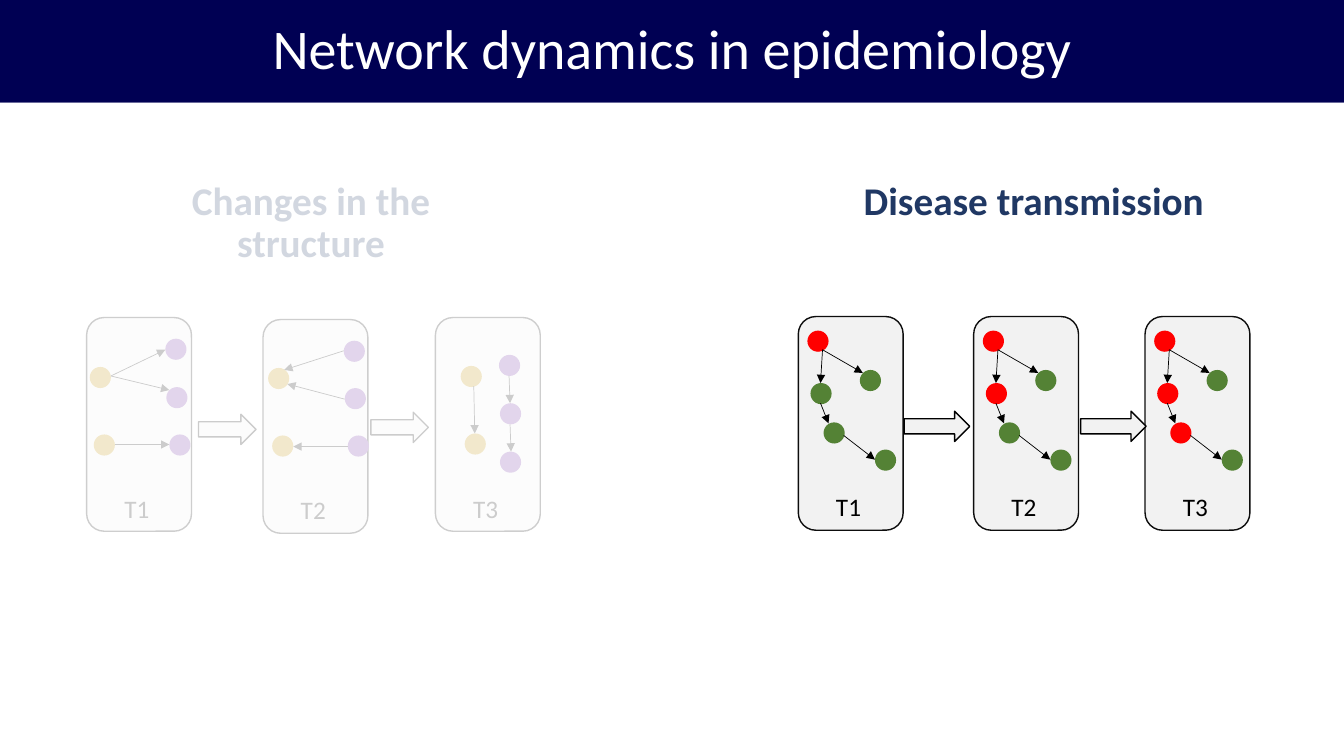
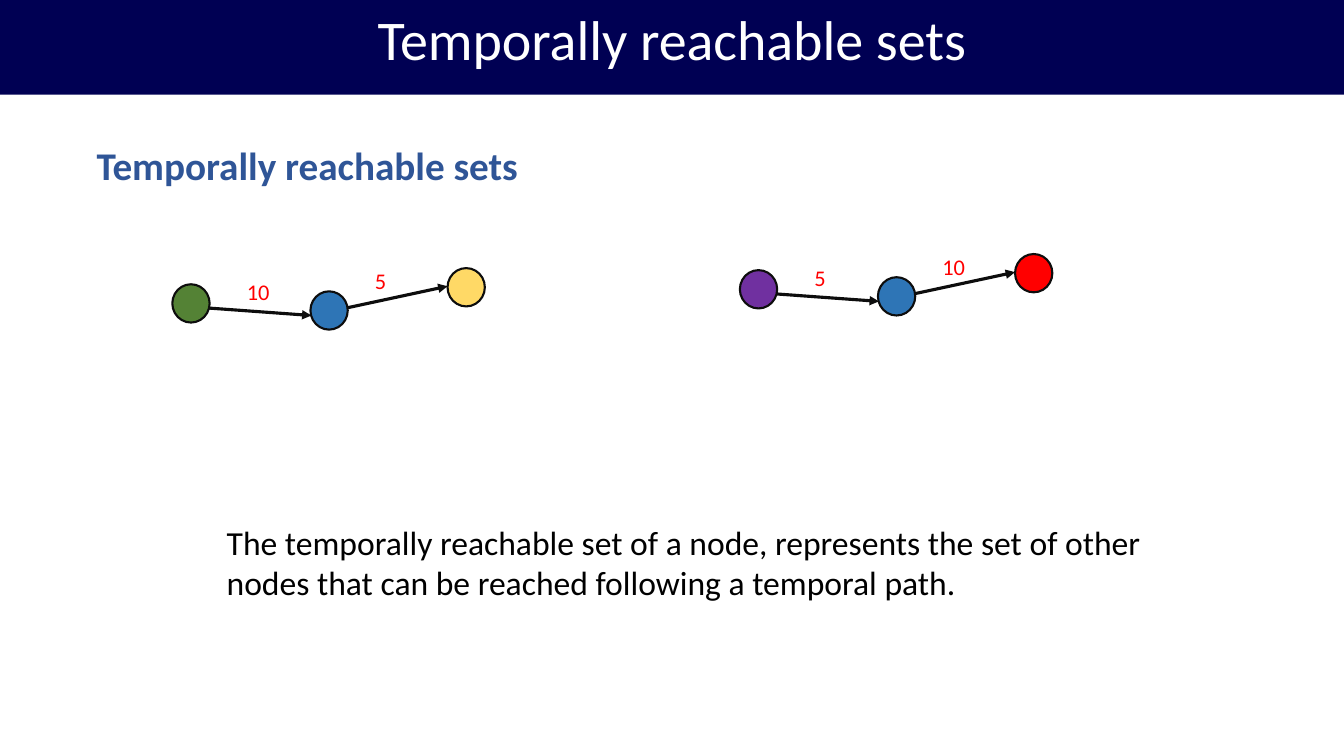
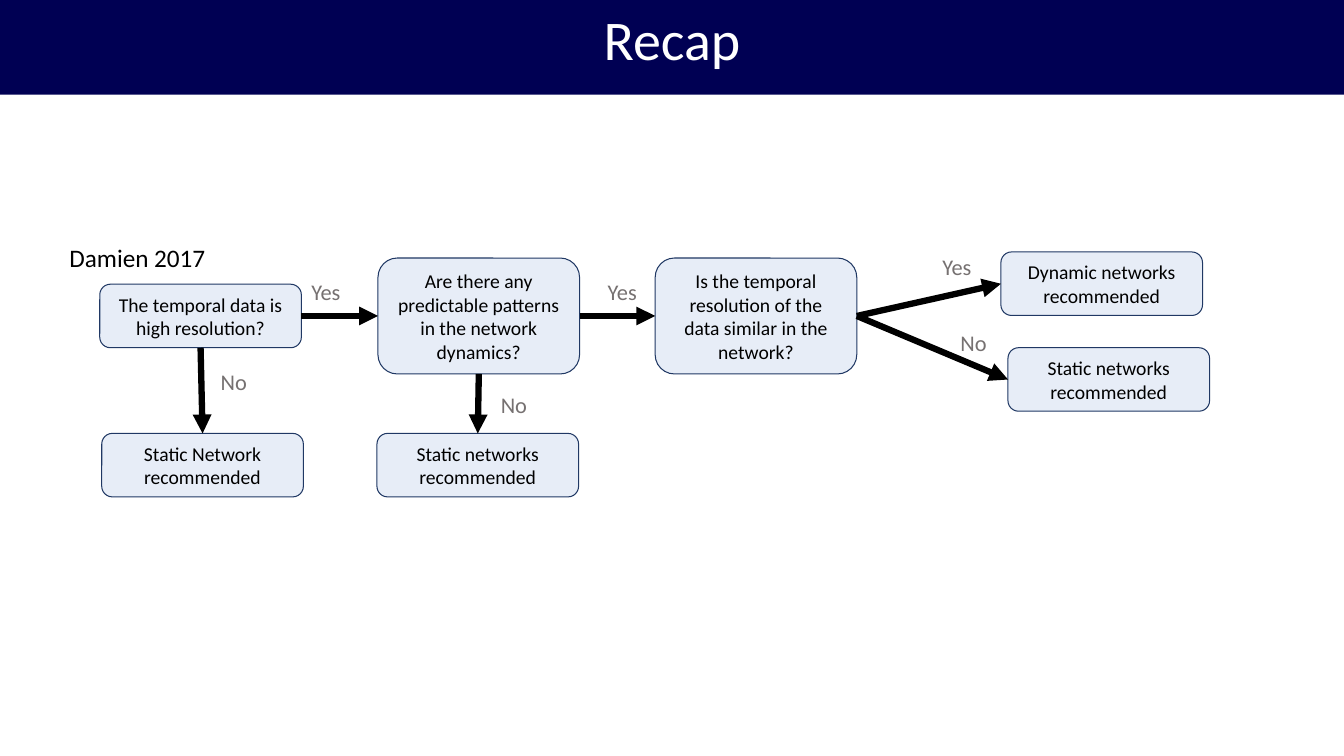
import pptx
import pptx.dml.color
import pptx.enum.shapes
import pptx.enum.text
import pptx.oxml
import pptx.oxml.ns
import pptx.util
from lxml import etree

RGB = pptx.dml.color.RGBColor
SHAPE = pptx.enum.shapes.MSO_SHAPE
ALIGN = pptx.enum.text.PP_ALIGN
ANCHOR = pptx.enum.text.MSO_ANCHOR

# Grid: square cells, ten to the inch
CELL = pptx.util.Inches(0.1)
COLUMNS, ROWS = 133.33, 75
FONT = "Calibri"

# Palette
NAVY = RGB(0x00, 0x00, 0x53)
DARK_BLUE = RGB(0x20, 0x38, 0x64)
HEADING_BLUE = RGB(0x2F, 0x55, 0x97)
MID_BLUE = RGB(0x2E, 0x75, 0xB6)
PALE_BLUE = RGB(0x8F, 0xAA, 0xDC)
WHITE = RGB(0xFF, 0xFF, 0xFF)
BLACK = RGB(0x00, 0x00, 0x00)
INK = RGB(0x0D, 0x0D, 0x0D)
LIGHT_GREY = RGB(0xF2, 0xF2, 0xF2)
GREY = RGB(0x76, 0x71, 0x71)
GOLD = RGB(0xBF, 0x90, 0x00)
YELLOW = RGB(0xFF, 0xD9, 0x66)
PURPLE = RGB(0x70, 0x30, 0xA0)
GREEN = RGB(0x54, 0x82, 0x35)
RED = RGB(0xFF, 0x00, 0x00)

# Connection sites of a rounded rectangle
TOP, LEFT, BOTTOM, RIGHT = range(4)


def cells(*numbers):
    return [round(number * CELL) for number in numbers]


class Deck:
    """Holds the shared style and the slide being drawn."""

    def __init__(self):
        self.deck = pptx.Presentation()
        self.deck.slide_width, self.deck.slide_height = cells(COLUMNS, ROWS)
        self.page = None

    def new_page(self, title, band_top=-0.9):
        self.page = self.deck.slides.add_slide(self.deck.slide_layouts[6])
        band = self.shape(SHAPE.RECTANGLE, (0, band_top, COLUMNS, 10.3), NAVY)
        self.set_words(band, title, 40, WHITE, align=ALIGN.CENTER, spacing=0.9)

    def set_words(self, shape, words, size, color, bold=False, align=ALIGN.LEFT, spacing=None):
        shape.text_frame.text = words
        para = shape.text_frame.paragraphs[0]
        para.alignment = align
        para.line_spacing = spacing
        for span in para.runs:
            span.font.name = FONT
            span.font.size = pptx.util.Pt(size)
            span.font.bold = bold
            span.font.color.rgb = color

    def text(self, area, words, size, color, wrap=True, **style):
        box = self.page.shapes.add_textbox(*cells(*area))
        box.text_frame.word_wrap = wrap
        self.set_words(box, words, size, color, **style)

    def paint(self, shape, fill, line=None, weight=1, opacity=None):
        shape.shadow.inherit = False
        shape.fill.solid()
        shape.fill.fore_color.rgb = fill
        if opacity:
            tint = shape.element.spPr.find(".//" + pptx.oxml.ns.qn("a:srgbClr"))
            alpha = etree.SubElement(tint, pptx.oxml.ns.qn("a:alpha"))
            alpha.set("val", str(opacity * 1000))
        if line is None:
            shape.line.fill.background()
        else:
            shape.line.color.rgb = line
            shape.line.width = pptx.util.Pt(weight)

    def shape(self, kind, area, fill, line=None, weight=1, opacity=None):
        shape = self.page.shapes.add_shape(kind, *cells(*area))
        shape.text_frame.vertical_anchor = ANCHOR.MIDDLE
        self.paint(shape, fill, line, weight, opacity)
        return shape

    def arrow(self, start, end, color, weight):
        arrow = self.page.shapes.add_connector(
            pptx.enum.shapes.MSO_CONNECTOR.STRAIGHT, *cells(*start, *end))
        arrow.line.color.rgb = color
        arrow.line.width = pptx.util.Pt(weight)
        properties = arrow.element.spPr
        outline = properties.find(pptx.oxml.ns.qn("a:ln"))
        etree.SubElement(outline, pptx.oxml.ns.qn("a:tailEnd")).set("type", "triangle")
        etree.SubElement(properties, pptx.oxml.ns.qn("a:effectLst"))
        return arrow

    def block_arrow(self, left, top, width):
        self.shape(SHAPE.RIGHT_ARROW, (left, top, width, 3), LIGHT_GREY, BLACK)

    def network_panel(self, left, top, label, nodes, edges):
        """Nodes (x, y, colour) and edges (x1, y1, x2, y2) are offsets in the panel."""
        self.shape(SHAPE.ROUNDED_RECTANGLE, (left, top, 10.4, 21.2), LIGHT_GREY, INK)
        for x, y, color in nodes:
            self.shape(SHAPE.OVAL, (left + x, top + y, 2.1, 2.1), color)
        for x1, y1, x2, y2 in edges:
            self.arrow((left + x1, top + y1), (left + x2, top + y2), BLACK, 0.5)
        self.text((left + 2.75, top + 16.9, 4.5, 4), label, 18, BLACK, wrap=False)

    def veil(self, top, window):
        """Fade everything below top except a rectangular window."""
        left, upper, right, lower = window
        outer = [(0, top), (COLUMNS, top), (COLUMNS, ROWS), (0, ROWS)]
        hole = [(left, upper), (left, lower), (right, lower), (right, upper)]
        outer, hole = [[cells(*point) for point in ring] for ring in (outer, hole)]
        builder = self.page.shapes.build_freeform(*outer[0])
        builder.add_line_segments(outer[1:], close=True)
        builder.move_to(*hole[0])
        builder.add_line_segments(hole[1:], close=True)
        self.paint(builder.convert_to_shape(), WHITE, opacity=80)

    def timed_path(self, left, top, colors, times):
        joints = [(0, 2.1), (13.8, 3.1), (27.3, 0.2)]
        corners = [(0, 0), (13.7, 0.7), (27.3, -1.6)]
        label_spots = [(6.4, -1.1), (19.1, -2.2)]
        for (x1, y1), (x2, y2) in zip(joints, joints[1:]):
            self.arrow((left + x1, top + y1), (left + x2, top + y2), INK, 2.25)
        for (x, y), color in zip(corners, colors):
            self.shape(SHAPE.FLOWCHART_CONNECTOR, (left + x, top + y, 3.7, 3.8),
                       color, INK, 1.5)
        for (x, y), time in zip(label_spots, times):
            width = 2.1 + 1.1 * len(time)
            self.text((left + x, top + y, width, 3.7), time, 16, RED, wrap=False)

    def step(self, left, top, words, height=6.3):
        box = self.shape(SHAPE.ROUNDED_RECTANGLE, (left, top, 20, height),
                         PALE_BLUE, DARK_BLUE, 0.75, opacity=21)
        self.set_words(box, words, 14, BLACK, align=ALIGN.CENTER)
        return box

    def link(self, source, source_side, target, target_side, answer, spot):
        arrow = self.arrow((0, 0), (1, 1), BLACK, 4.5)
        arrow.begin_connect(source, source_side)
        arrow.end_connect(target, target_side)
        self.text((*spot, 5.8, 3.7), answer, 16, GREY)


def dynamics_page(deck):
    deck.new_page("Network dynamics in epidemiology", band_top=-0.1)
    for left, heading in ((10.8, "Changes in the structure"), (82.5, "Disease transmission")):
        deck.text((left, 17.5, 40.1, 10.9), heading, 28, DARK_BLUE,
                  bold=True, align=ALIGN.CENTER, spacing=0.9)

    # Edges that change over time
    hues = (GOLD, GOLD, PURPLE, PURPLE, PURPLE)
    structures = [
        (8.6, 31.5, [(0.7, 11.6), (0.3, 4.9), (7.8, 2.1), (7.9, 6.9), (8.2, 11.6)],
         [(2.4, 5.8, 7.8, 3.2), (2.4, 5.8, 8.2, 7.2), (2.8, 12.6, 8.2, 12.6)]),
        (26.1, 31.7, [(0.9, 11.5), (0.5, 4.8), (8, 2.1), (8.1, 6.8), (8.4, 11.5)],
         [(8.1, 7.9, 2.4, 6.4), (8, 3.1, 2.1, 5), (8.4, 12.6, 3, 12.6)]),
        (43.2, 31.5, [(2.9, 11.5), (2.5, 4.8), (6.3, 3.7), (6.4, 8.5), (6.4, 13.3)],
         [(7.4, 10.6, 7.5, 13.3), (7.3, 5.8, 7.4, 8.5), (3.8, 6.8, 3.9, 11.5)]),
    ]
    for number, (left, top, spots, edges) in enumerate(structures, 1):
        nodes = [(*spot, hue) for spot, hue in zip(spots, hues)]
        deck.network_panel(left, top, f"T{number}", nodes, edges)
    deck.block_arrow(19.7, 41.1, 5.7)
    deck.block_arrow(36.8, 40.9, 5.7)

    # Infection moving one node further at each time
    spots = [(0.9, 1.4), (1.2, 6.6), (2.5, 10.5), (6.1, 5.3), (7.6, 13.2)]
    edges = [(2.4, 3.3, 2.2, 6.6), (2.4, 3.3, 6.4, 5.6),
             (4.5, 11.8, 7.6, 14.2), (2.2, 8.6, 3, 10.6)]
    for infected, left in enumerate((79.2, 96.6, 113.6), 1):
        nodes = [(*spot, RED if order < infected else GREEN)
                 for order, spot in enumerate(spots)]
        deck.network_panel(left, 31.4, f"T{infected}", nodes, edges)
    for left in (89.7, 107.2):
        deck.block_arrow(left, 40.8, 6.5)

    deck.veil(10.2, (73.7, 17.6, 128.2, 54.3))


def reachable_page(deck):
    deck.new_page("Temporally reachable sets")
    deck.text((8.6, 13.5, 49.6, 5.7), "Temporally reachable sets", 28, HEADING_BLUE, bold=True)
    deck.timed_path(17.1, 28.2, (GREEN, MID_BLUE, YELLOW), ("10", "5"))
    deck.timed_path(73.4, 26.8, (PURPLE, MID_BLUE, RED), ("5", "10"))
    deck.text((21.5, 51.3, 99.5, 9.1),
              "The temporally reachable set of a node, represents the set of other "
              "nodes that can be reached following a temporal path.", 24, BLACK)


def recap_page(deck):
    deck.new_page("Recap")
    deck.text((5.9, 23.6, 15.7, 4), "Damien 2017", 18, BLACK, wrap=False)

    # Questions and recommendations
    resolution = deck.step(9.9, 28.2, "The temporal data is high resolution?")
    patterns = deck.step(
        37.5, 25.6, "Are there any predictable patterns in the network dynamics?", 11.5)
    similar = deck.step(
        65, 25.6, "Is the temporal resolution of the data similar in the network?", 11.5)
    static_first = deck.step(10.1, 43, "Static Network recommended")
    static_second = deck.step(37.4, 43, "Static networks recommended")
    dynamic = deck.step(99.3, 25, "Dynamic networks recommended")
    static_last = deck.step(100, 34.5, "Static networks recommended")

    # Answers
    deck.link(resolution, RIGHT, patterns, LEFT, "Yes", (29.9, 27.1))
    deck.link(resolution, BOTTOM, static_first, TOP, "No", (20.9, 36))
    deck.link(patterns, RIGHT, similar, LEFT, "Yes", (59.3, 27.1))
    deck.link(patterns, BOTTOM, static_second, TOP, "No", (48.7, 38.3))
    deck.link(similar, RIGHT, dynamic, LEFT, "Yes", (92.5, 24.6))
    deck.link(similar, RIGHT, static_last, LEFT, "No", (94.3, 32.2))


def main():
    deck = Deck()
    dynamics_page(deck)
    reachable_page(deck)
    recap_page(deck)
    deck.deck.save("out.pptx")


if __name__ == "__main__":
    main()
